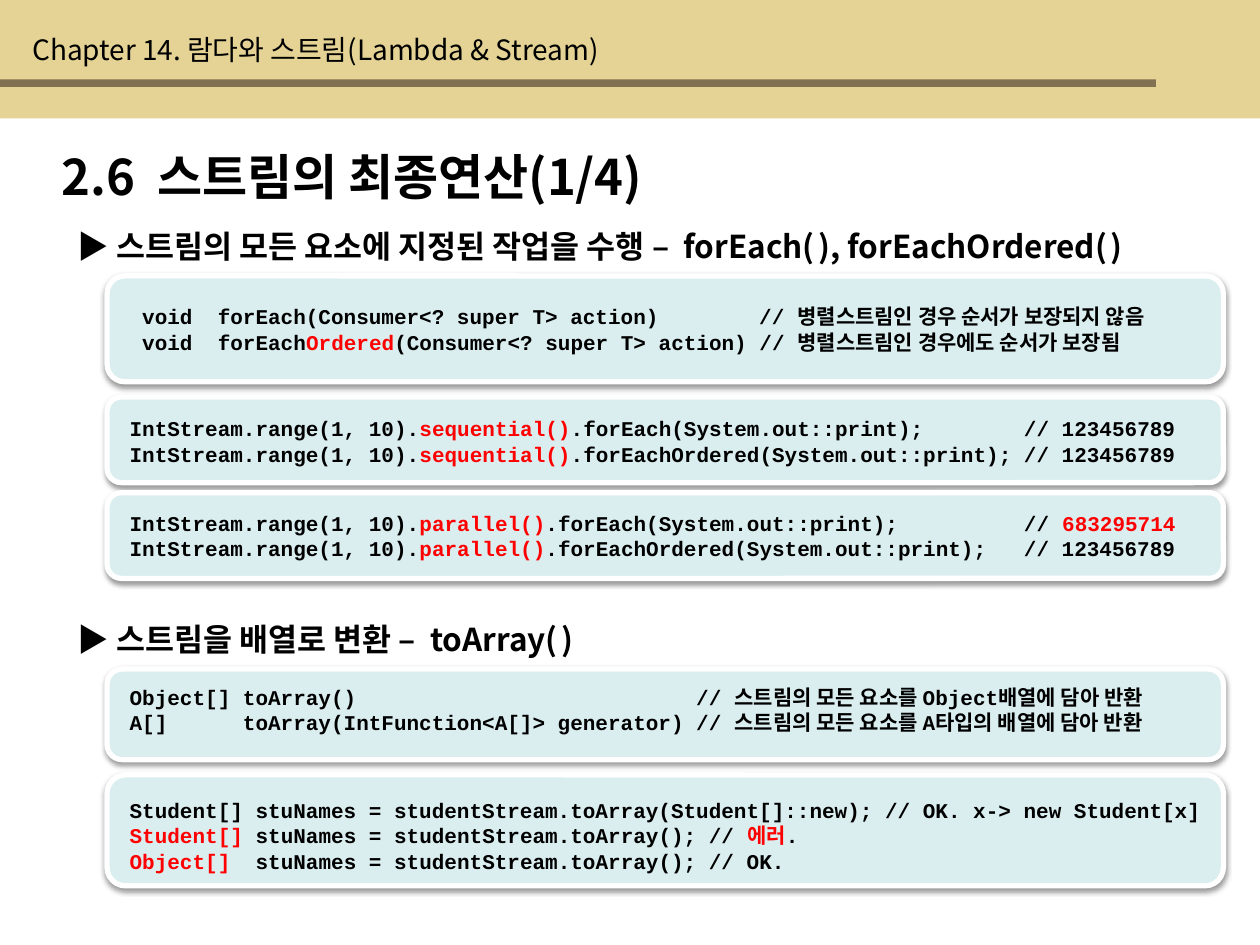
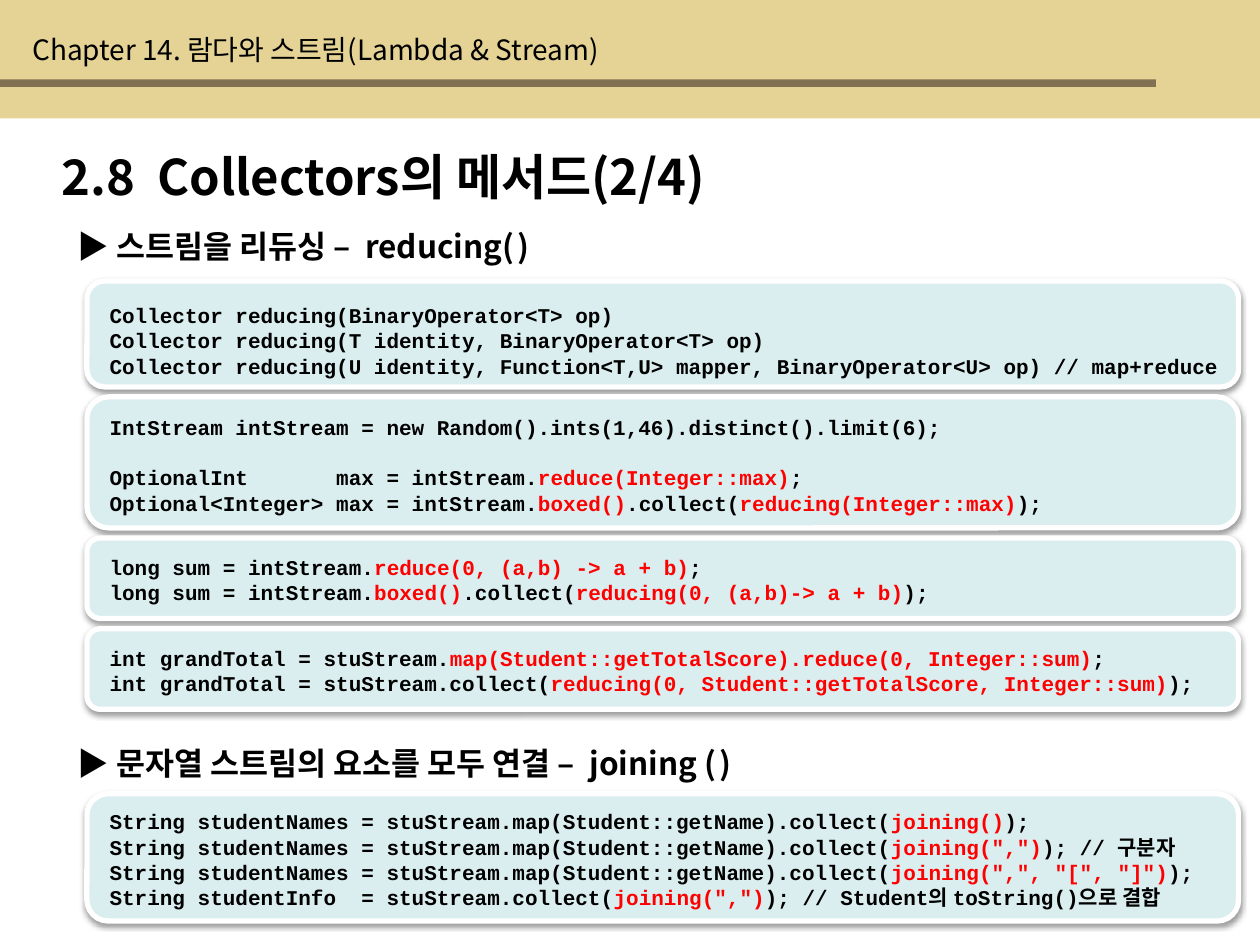
"""Build two lecture slides on stream operations, with code panels under topic headings."""
from collections import namedtuple

from lxml.etree import SubElement
from pptx import Presentation
from pptx.dml.color import RGBColor
from pptx.enum.shapes import MSO_SHAPE
from pptx.enum.text import MSO_ANCHOR
from pptx.oxml.ns import qn
from pptx.util import Pt

COLORS = {
    "band": "E4D394",
    "rule": "817051",
    "panel": "DAEDEF",
    "border": "FFFFFF",
    "shadow": "000000",
    "text": "000000",
    "accent": "FF0000",
}
SANS = "Noto Sans CJK KR"
MONO = "Courier New"
PAGE_WIDTH, PAGE_HEIGHT = 720, 540
CODE_LEADING = 14.4
PADDING = 7.2

Box = namedtuple("Box", "left top width height")
Style = namedtuple("Style", "font size bold color")

CHAPTER = Style(SANS, 16, False, "text")
TITLE = Style(SANS, 28, True, "text")
TOPIC = Style(SANS, 18, True, "text")
TOPIC_GAP = TOPIC._replace(size=8)
CODE = Style(MONO, 12, True, "text")
CODE_ACCENT = CODE._replace(color="accent")

HEADER_BOX = Box(0, 0, PAGE_WIDTH, 67.7)
TITLE_BOX = Box(28.1, 79.9, 674.6, 41)
TOPIC_LEFT, TOPIC_WIDTH, TOPIC_HEIGHT = 37.4, 677.5, 28.8

SLIDES = [
    {
        "title": "2.6  스트림의 최종연산(1/4)",
        "topics": [
            (126, "▶ 스트림의 모든 요소에 지정된 작업을 수행 –  forEach(| |), forEachOrdered(| |)"),
            (350.6, "▶ 스트림을 배열로 변환 –  toArray(| |)"),
        ],
        "panel_left": 61.2,
        "panel_width": 637.9,
        "panels": [
            (157.7, 60.5, 12.2, [
                " void  forEach(Consumer<? super T> action)        // 병렬스트림인 경우 순서가 보장되지 않음",
                " void  forEach|Ordered|(Consumer<? super T> action) // 병렬스트림인 경우에도 순서가 보장됨",
            ]),
            (226.8, 49, 5.8, [
                "IntStream.range(1, 10).|sequential()|.forEach(System.out::print);        // 123456789",
                "IntStream.range(1, 10).|sequential()|.forEachOrdered(System.out::print); // 123456789",
            ]),
            (281.5, 49, 6.5, [
                "IntStream.range(1, 10).|parallel()|.forEach(System.out::print);          // |683295714",
                "IntStream.range(1, 10).|parallel()|.forEachOrdered(System.out::print);   // 123456789",
            ]),
            (382.3, 51.8, 10.8, [
                "Object[] toArray()                           // 스트림의 모든 요소를 Object배열에 담아 반환",
                "A[]      toArray(IntFunction<A[]> generator) // 스트림의 모든 요소를 A타입의 배열에 담아 반환",
            ]),
            (442.8, 63.4, 3.6, [
                "Student[] stuNames = studentStream.toArray(Student[]::new); // OK. x-> new Student[x]",
                "|Student[] |stuNames = studentStream.toArray(); // |에러|.",
                "|Object[]  |stuNames = studentStream.toArray(); // OK.",
            ]),
        ],
    },
    {
        "title": "2.8  Collectors의 메서드(2/4)",
        "topics": [
            (126, "▶ 스트림을 리듀싱 –  reducing(| |)"),
            (421.9, "▶ 문자열 스트림의 요소를 모두 연결 –  joining (| |)"),
        ],
        "panel_left": 49.7,
        "panel_width": 658.1,
        "panels": [
            (160.6, 60.5, 1.4, [
                "Collector reducing(BinaryOperator<T> op)",
                "Collector reducing(T identity, BinaryOperator<T> op)",
                "Collector reducing(U identity, Function<T,U> mapper, BinaryOperator<U> op) // map+reduce",
            ]),
            (226.8, 74.9, 3.6, [
                "IntStream intStream = new Random().ints(1,46).distinct().limit(6);",
                "",
                "OptionalInt       max = intStream.|reduce(Integer::max)|;",
                "Optional<Integer> max = intStream.|boxed()|.collect(|reducing(Integer::max)|);",
            ]),
            (307.4, 46.1, 4.3, [
                "long sum = intStream.|reduce(0, (a,b) -> a + b)|;",
                "long sum = intStream.|boxed()|.collect(|reducing(0, (a,b)-> a + b)|);",
            ]),
            (359.3, 46.1, 4.3, [
                "int grandTotal = stuStream.|map(Student::getTotalScore).reduce(0, Integer::sum)|;",
                "int grandTotal = stuStream.collect(|reducing(0, Student::getTotalScore, Integer::sum)|);",
            ]),
            (453.6, 72.7, 2.9, [
                "String studentNames = stuStream.map(Student::getName).collect(|joining()|);",
                'String studentNames = stuStream.map(Student::getName).collect(|joining(",")|); // 구분자',
                'String studentNames = stuStream.map(Student::getName).collect(|joining(",", "[", "]")|);',
                'String studentInfo  = stuStream.collect(|joining(",")|); // Student의 toString()으로 결합',
            ]),
        ],
    },
]


def color(name):
    """Return the named colour."""
    return RGBColor.from_string(COLORS[name])


def lengths(box):
    """Return the four measures of a box as point lengths."""
    return [Pt(value) for value in box]


def add_block(page, preset, box, fill):
    """Add a filled preset shape without line or shadow."""
    shape = page.shapes.add_shape(preset, *lengths(box))
    shape.shadow.inherit = False
    shape.fill.solid()
    shape.fill.fore_color.rgb = color(fill)
    shape.line.fill.background()
    return shape


def add_shadow(shape):
    """Give a shape a soft shadow below it."""
    effects = shape.element.spPr.find(qn("a:effectLst"))
    outer = SubElement(effects, qn("a:outerShdw"), blurRad=str(Pt(3.1)),
                       dist=str(Pt(1.6)), dir="5400000", rotWithShape="0")
    tint = SubElement(outer, qn("a:srgbClr"), val=COLORS["shadow"])
    SubElement(tint, qn("a:alpha"), val="38000")


def add_text_frame(page, box):
    """Add a wrapping text box and return its frame."""
    frame = page.shapes.add_textbox(*lengths(box)).text_frame
    frame.word_wrap = True
    return frame


def write_spans(para, text, style, marked=None):
    """Write text run by run; the pieces between bars take the marked style."""
    for index, piece in enumerate(text.split("|")):
        if not piece:
            continue
        look = marked if index % 2 else style
        span = para.add_run()
        span.text = piece
        span.font.name = look.font
        span.font.size = Pt(look.size)
        span.font.bold = look.bold
        span.font.color.rgb = color(look.color)
        SubElement(span.font._element, qn("a:ea"), typeface=SANS)


def add_header(page, box):
    """Add the chapter band with its rule and name."""
    add_block(page, MSO_SHAPE.RECTANGLE, box, "band")
    rule = Box(box.left, box.top + 45.3, box.width - 59.5, 4.4)
    add_block(page, MSO_SHAPE.RECTANGLE, rule, "rule")
    frame = add_text_frame(page, Box(box.left + 11.4, box.top + 15.1, 447.8, 26.6))
    write_spans(frame.paragraphs[0], "Chapter 14. 람다와 스트림(Lambda & Stream)", CHAPTER)


def add_title(page, box, text):
    """Add the section title."""
    write_spans(add_text_frame(page, box).paragraphs[0], text, TITLE)


def add_topic(page, box, text):
    """Add a topic heading with a narrow gap inside its brackets."""
    write_spans(add_text_frame(page, box).paragraphs[0], text, TOPIC, TOPIC_GAP)


def add_code_panel(page, box, lift, lines):
    """Add a rounded panel whose code ends a given lift above its bottom."""
    panel = add_block(page, MSO_SHAPE.ROUNDED_RECTANGLE, box, "panel")
    panel.line.color.rgb = color("border")
    panel.line.width = Pt(3)
    add_shadow(panel)
    height = CODE_LEADING * len(lines) + PADDING
    top = box.top + box.height - lift - height
    frame = add_text_frame(page, Box(box.left + 5.8, top, box.width + 5.8, height))
    frame.vertical_anchor = MSO_ANCHOR.BOTTOM
    gap = 0
    for index, line in enumerate(lines):
        if not line:
            gap += CODE_LEADING
            continue
        para = frame.add_paragraph() if index else frame.paragraphs[0]
        para.line_spacing = Pt(CODE_LEADING)
        if gap:
            para.space_before = Pt(gap)
            gap = 0
        write_spans(para, line, CODE, CODE_ACCENT)


def add_page(deck, content):
    """Add one slide with header, title, topics and code panels."""
    page = deck.slides.add_slide(deck.slide_layouts[6])
    add_header(page, HEADER_BOX)
    add_title(page, TITLE_BOX, content["title"])
    for top, text in content["topics"]:
        add_topic(page, Box(TOPIC_LEFT, top, TOPIC_WIDTH, TOPIC_HEIGHT), text)
    for top, height, lift, lines in content["panels"]:
        box = Box(content["panel_left"], top, content["panel_width"], height)
        add_code_panel(page, box, lift, lines)


def main():
    """Build and save the deck."""
    deck = Presentation()
    deck.slide_width, deck.slide_height = Pt(PAGE_WIDTH), Pt(PAGE_HEIGHT)
    for content in SLIDES:
        add_page(deck, content)
    deck.save("out.pptx")


if __name__ == "__main__":
    main()
